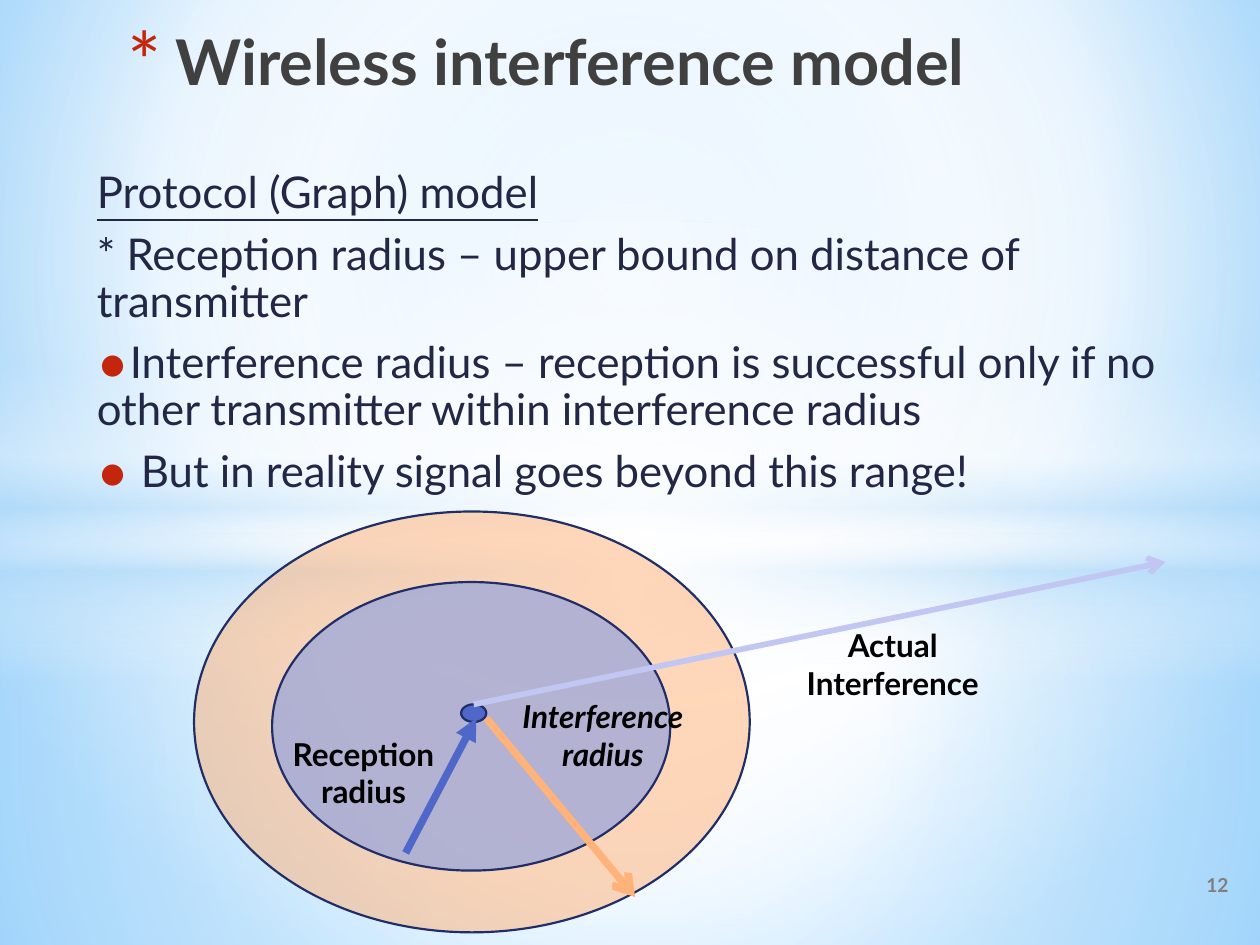
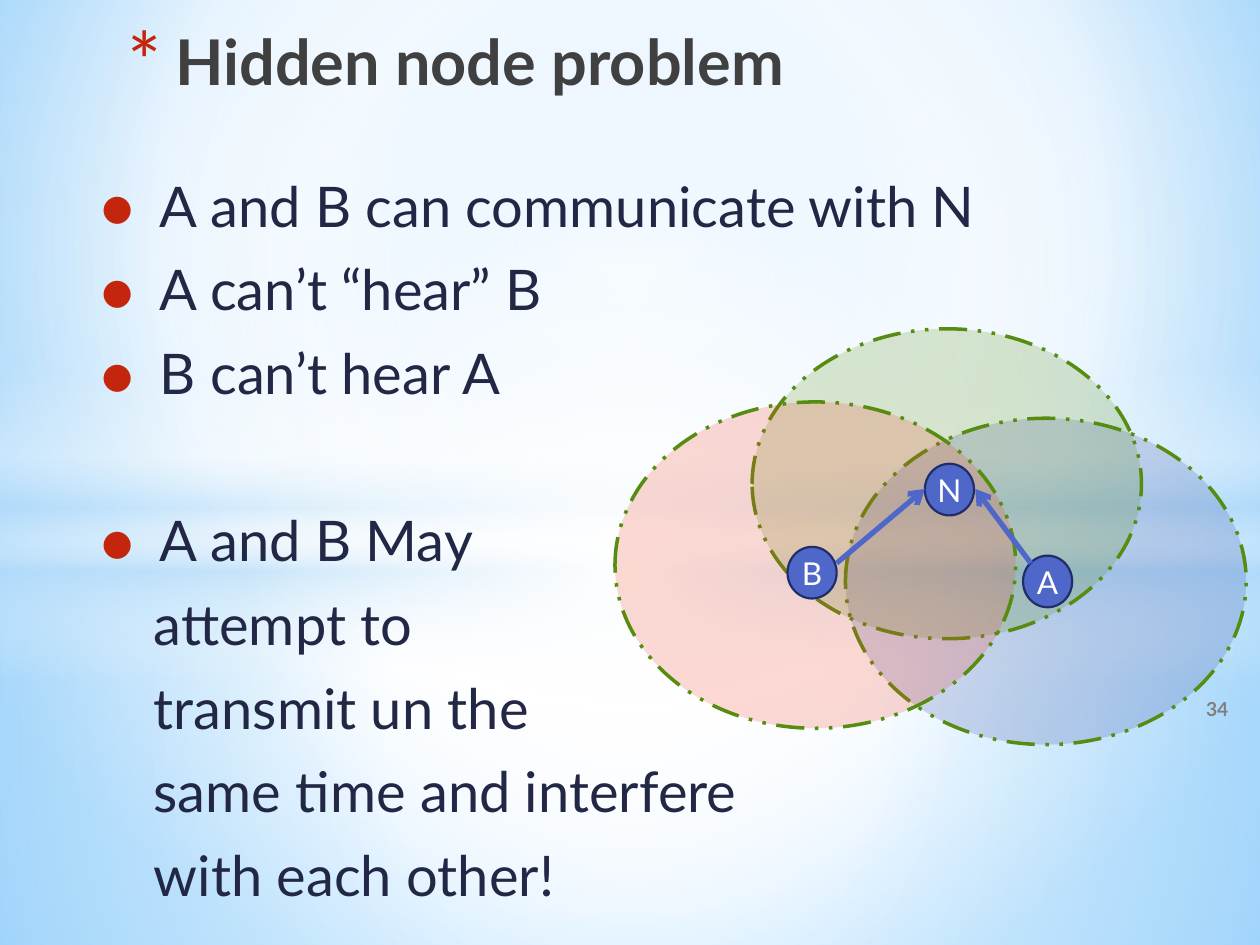
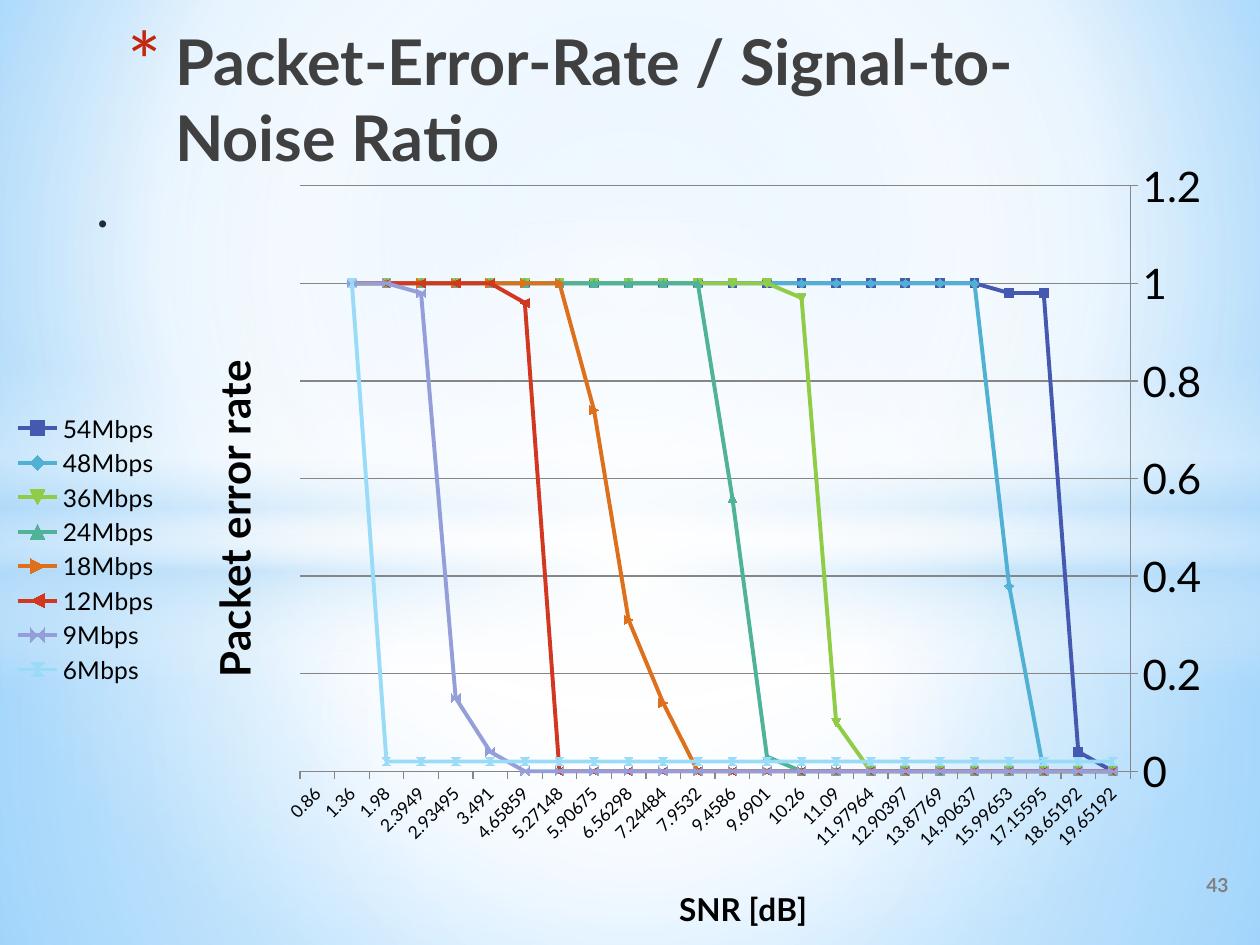
"""Build three slides on wireless interference."""
from lxml.etree import SubElement
from pptx import Presentation
from pptx.chart.data import CategoryChartData
from pptx.dml.color import RGBColor
from pptx.enum.chart import XL_CHART_TYPE, XL_LEGEND_POSITION, XL_TICK_MARK
from pptx.enum.dml import MSO_LINE
from pptx.enum.shapes import MSO_CONNECTOR, MSO_SHAPE
from pptx.enum.text import MSO_ANCHOR, MSO_AUTO_SIZE, PP_ALIGN
from pptx.oxml.ns import qn
from pptx.util import Pt

RECT, OVAL = MSO_SHAPE.RECTANGLE, MSO_SHAPE.OVAL
LEFT, MID, RIGHT = PP_ALIGN.LEFT, PP_ALIGN.CENTER, PP_ALIGN.RIGHT
TOP, CENTER = MSO_ANCHOR.TOP, MSO_ANCHOR.MIDDLE
FIXED = MSO_AUTO_SIZE.NONE
STRAIGHT = MSO_CONNECTOR.STRAIGHT
DASH = MSO_LINE.DASH_DOT_DOT
LINES = XL_CHART_TYPE.LINE_MARKERS
SIDE = XL_LEGEND_POSITION.LEFT
OUT = XL_TICK_MARK.OUTSIDE

FONT = "Lato"
INK, DARK, GRAY, RED = "212745", "404040", "808080", "C3260C"
BLACK, WHITE = "000000", "FFFFFF"
BLUE, NAVY, PEACH, LILAC, GREEN = "4E67C8", "1F2E69", "FFB37A", "C1C7F2", "568D11"
SKY = "B4DCFA"

TITLE_BOX = (65.5, 9.4, 595.5, 79.2)
BODY_BOX = (48.25, 94.3, 646.5, 232.5)
PAGE_BOX = (445, 491, 264.25, 28.8)

BACK = ([(0, "9ED5FF", 100), (60, WHITE, 100), (100, "5BB9FF", 100)], (20, 10, 20, 60))
HALF = (50, 50, 50, 50)
BANDS = [
    (RECT, (0, 304.6, 720, 235.4),
     [(0, WHITE, 91), (37, WHITE, 76), (100, SKY, 79)], HALF),
    (RECT, (0, 0, 720, 304.6),
     [(0, WHITE, 89), (48, WHITE, 62), (100, SKY, 79)], HALF),
    (RECT, (0, 208.8, 720, 180),
     [(0, WHITE, 0), (29, WHITE, 30), (45, SKY, 40), (55, WHITE, 26),
      (65, SKY, 60), (100, WHITE, 0)], None),
    (OVAL, (0, 126, 720, 401.8), [(0, WHITE, 100), (54, WHITE, 0)], HALF),
]

MODEL = [
    ("Protocol (Graph) model", {"underline": True}, None),
    ("* Reception radius – upper bound on distance of transmitter", {}, None),
    ("Interference radius – reception is successful only if no other "
     "transmitter within interference radius", {}, "•"),
    (" But in reality signal goes beyond this range!", {}, "•"),
]
DISCS = [
    ((110.9, 292.3, 317.5, 240.5), PEACH, 52),
    ((155.5, 332.6, 227.5, 164.9), "95A4DE", 70),
    ((263.5, 402.5, 14.4, 10.1), BLUE, 100),
]
RAYS = [
    ((272.2, 410.4, 231.8, 487.4), BLUE, 4.25, "headEnd", "triangle"),
    ((277.9, 410.4, 362.9, 512.6), PEACH, 4.25, "tailEnd", "arrow"),
    ((270.7, 402.5, 666, 321.1), LILAC, 3.25, "tailEnd", "arrow"),
]
LABELS = [
    ((155.5, 416.2, 104.4, 50.4), ["Reception", "radius"], False),
    ((283.7, 394.6, 121.7, 50.4), ["Interference", "radius"], True),
    ((449.3, 354.2, 121.7, 51.1), ["Actual", "Interference"], False),
]

HEARD = ["A and B can communicate with N", "A can’t “hear” B", "B can’t hear A",
         "A and B May"]
CLASH = ["attempt to", "transmit un the", "same time and interfere", "with each other!"]
GAP = 54.2
RANGES = [
    ((483.1, 239, 229, 186.5), "31489F"),
    ((429.8, 187.9, 222.5, 177.1), GREEN),
    ((351.4, 229.7, 229, 186.5), "F14124"),
]
NODES = [("A", 584.6, 317.5), ("B", 450, 312.5), ("N", 528.5, 265)]
HOPS = [(478.1, 321.8, 528.5, 279.4), (589, 321.8, 557.3, 279.4)]

SNR = ("19.65192 18.65192 17.15595 15.99653 14.90637 13.87769 12.90397 11.97964 "
       "11.09 10.26 9.6901 9.4586 7.9532 7.24484 6.56298 5.90675 5.27148 4.65859 "
       "3.491 2.93495 2.3949 1.98 1.36 0.86").split()
RATES = [
    ("54Mbps", "4559B1", 1, [0.04, 0.98, 0.98]),
    ("48Mbps", "51B1D3", 3, [0.38]),
    ("36Mbps", "91CC46", 8, [0.1, 0.97]),
    ("24Mbps", "50B397", 10, [0.03, 0.56]),
    ("18Mbps", "DE6F1B", 13, [0.14, 0.31, 0.74]),
    ("12Mbps", "D23720", 17, [0.96]),
    ("9Mbps", "949FDA", 18, [0.04, 0.15, 0.98]),
    ("6Mbps", "9ADCF8", 0, [0.02] * 22),
]
CHART_BOX = (0, 82.8, 699.8, 457.2)
AXES = [
    ("catAx", "SNR [dB]", 18, 10, (0.55, 0.92), 0, -45),
    ("valAx", "Packet error rate", 24, 24, (0.16, 0.26), -90, 0),
]


def tint(code):
    """Turn a hex string into a colour."""
    return RGBColor.from_string(code)


def put(item, vals):
    """Set each attribute named in a dict."""
    for key, val in vals.items():
        setattr(item, key, val)


def pts(box):
    """Turn numbers into points."""
    return [Pt(n) for n in box]


def style(font, size, color, **more):
    """Format a font."""
    put(font, {"name": FONT, "size": Pt(size), **more})
    font.color.rgb = tint(color)


def blend(root, stops, focus):
    """Fill the gradient with stops, round a focus or straight down."""
    grad = root.find(".//" + qn("a:gradFill"))
    for kid in list(grad):
        grad.remove(kid)
    row = SubElement(grad, qn("a:gsLst"))
    for pos, color, alpha in stops:
        stop = SubElement(row, qn("a:gs"), pos=str(pos * 1000))
        hue = SubElement(stop, qn("a:srgbClr"), val=color)
        SubElement(hue, qn("a:alpha"), val=str(alpha * 1000))
    if focus:
        ring = SubElement(grad, qn("a:path"), path="circle")
        SubElement(ring, qn("a:fillToRect"),
                   {key: str(n * 1000) for key, n in zip("ltrb", focus)})
    else:
        SubElement(grad, qn("a:lin"), ang="5400000", scaled="0")


def dress(layout, slide):
    """Give the layout its backdrop and bands."""
    layout.background.fill.gradient()
    blend(layout.element, *BACK)
    for i, (kind, box, stops, focus) in enumerate(BANDS):
        band = slide.shapes.add_shape(kind, *pts(box))
        band.shadow.inherit = False
        band.fill.gradient()
        band.line.fill.background()
        blend(band.element, stops, focus)
        band.element.nvSpPr.cNvPr.set("id", str(20 + i))
        layout.shapes.element.insert(2 + i, band.element)


def write(shape, rows, size, color, frame=None, para=None, **more):
    """Write rows of text, each with its own font and paragraph formats."""
    text = shape.text_frame
    put(text, {"word_wrap": True, "auto_size": FIXED, "vertical_anchor": TOP,
               **(frame or {})})
    text.text = "\n".join(row[0] for row in rows)
    for line, row in zip(text.paragraphs, rows):
        put(line, {**(para or {}), **(row[3] if len(row) > 3 else {})})
        style(line.runs[0].font, size, color, **more, **row[1])


def mark(shape, signs, pct):
    """Give paragraphs bullets and indents from (sign, left, first) rows."""
    for line, (sign, left, first) in zip(shape.element.iter(qn("a:p")), signs):
        props = line.get_or_add_pPr()
        props.set("marL", str(Pt(left)))
        props.set("indent", str(Pt(first)))
        if sign:
            hue = SubElement(props, qn("a:buClr"))
            SubElement(hue, qn("a:srgbClr"), val=RED)
            SubElement(props, qn("a:buSzPct"), val=str(pct * 1000))
            SubElement(props, qn("a:buFont"), typeface=FONT)
            SubElement(props, qn("a:buChar"), char=sign)


def head(slide, title, page, spot=PAGE_BOX):
    """Write the title and the page number."""
    top = slide.shapes.title
    put(top, dict(zip(("left", "top", "width", "height"), pts(TITLE_BOX))))
    write(top, [(title, {})], 36, DARK, para={"alignment": LEFT}, bold=True)
    mark(top, [("*", 27.4, -27.4)], 128)
    foot = slide.shapes.add_textbox(*pts(spot))
    write(foot, [(page, {})], 11, GRAY, {"vertical_anchor": CENTER},
          {"alignment": RIGHT}, bold=True)


def body(slide, rows, size, signs, **more):
    """Write the main text."""
    box = slide.shapes.add_textbox(*pts(BODY_BOX))
    para = {"space_before": Pt(size / 5), "space_after": Pt(3), **more}
    write(box, rows, size, INK, para=para)
    mark(box, signs, 130)


def disc(slide, box, color, alpha=100, edge=NAVY, width=1.25, dash=None):
    """Draw an ellipse."""
    oval = slide.shapes.add_shape(OVAL, *pts(box))
    oval.shadow.inherit = False
    oval.fill.solid()
    oval.fill.fore_color.rgb = tint(color)
    hue = oval.element.spPr.find(qn("a:solidFill")).find(qn("a:srgbClr"))
    SubElement(hue, qn("a:alpha"), val=str(alpha * 1000))
    oval.line.color.rgb = tint(edge)
    put(oval.line, {"width": Pt(width), "dash_style": dash})
    return oval


def ray(slide, ends, color, width, end, tip):
    """Draw an arrow."""
    line = slide.shapes.add_connector(STRAIGHT, *pts(ends))
    line.line.color.rgb = tint(color)
    line.line.width = Pt(width)
    props = line.element.spPr
    SubElement(props.find(qn("a:ln")), qn("a:" + end), type=tip)
    SubElement(props, qn("a:effectLst"))


def place(root, index, spot, inner=False):
    """Set a chart part at fractions of the chart area."""
    old = root.find(qn("c:layout"))
    if old is not None:
        root.remove(old)
    cell = SubElement(root, qn("c:layout"))
    root.insert(index, cell)
    hand = SubElement(cell, qn("c:manualLayout"))
    if inner:
        SubElement(hand, qn("c:layoutTarget"), val="inner")
    for key in "xy":
        SubElement(hand, qn(f"c:{key}Mode"), val="edge")
    for key, val in zip("xywh", spot):
        SubElement(hand, qn("c:" + key), val=str(val))


def plot(slide):
    """Draw packet error rate against SNR."""
    data = CategoryChartData()
    data.categories = SNR
    count = len(SNR) - 1
    for name, _, zeros, steps in RATES:
        ones = count - zeros - len(steps)
        data.add_series(name, [0] * zeros + steps + [1] * ones + [None])
    chart = slide.shapes.add_chart(LINES, *pts(CHART_BOX), data).chart
    style(chart.font, 10, BLACK)
    put(chart, {"has_title": False, "has_legend": True})
    put(chart.legend, {"position": SIDE, "include_in_layout": False})
    style(chart.legend.font, 14, BLACK)
    graph = chart.plots[0]
    graph.vary_by_categories = False
    for line, (_, color, _, _) in zip(graph.series, RATES):
        line.smooth = False
        line.format.line.color.rgb = tint(color)
        line.format.line.width = Pt(2.25)
    across, up = chart.category_axis, chart.value_axis
    across.reverse_order = True
    put(up, {"minimum_scale": 0, "maximum_scale": 1.2, "major_unit": 0.2,
             "has_major_gridlines": True})
    pens = [axis.format.line for axis in (across, up)] + [up.major_gridlines.format.line]
    for pen in pens:
        pen.color.rgb = tint("868686")
        pen.width = Pt(0.75)
    for axis, (tag, name, size, small, spot, turn, slant) in zip((across, up), AXES):
        axis.major_tick_mark = OUT
        style(axis.tick_labels.font, small, BLACK)
        text = axis.axis_title.text_frame
        text.text = name
        style(text.paragraphs[0].runs[0].font, size, BLACK, bold=True)
        root = chart.element.find(".//" + qn("c:" + tag))
        title = root.find(qn("c:title"))
        place(title, 1, spot)
        for part, deg in ((title, turn), (root.find(qn("c:txPr")), slant)):
            part.find(".//" + qn("a:bodyPr")).set("rot", str(deg * 60000))
    place(chart.element.find(".//" + qn("c:plotArea")), 0,
          (0.245, 0.051, 0.678, 0.732), True)
    place(chart.element.find(".//" + qn("c:legend")), 1, (0.01, 0.33, 0.12, 0.35))


def radii(slide):
    """Show the protocol model."""
    body(slide, MODEL, 25, [(row[2], 0, 0) for row in MODEL], line_spacing=0.9)
    head(slide, "Wireless interference model", "12")
    for item in DISCS:
        disc(slide, *item)
    for item in RAYS:
        ray(slide, *item)
    for box, words, slope in LABELS:
        label = slide.shapes.add_textbox(*pts(box))
        write(label, [(word, {}) for word in words], 18, BLACK, {"word_wrap": False},
              {"alignment": MID}, bold=True, italic=slope)


def hidden(slide):
    """Show the hidden node problem."""
    rows = [(line, {}, None, {}) for line in HEARD + CLASH]
    rows[len(HEARD) - 1][3]["space_before"] = Pt(GAP)
    signs = [("•", 36, -36)] * len(HEARD) + [(None, 32.5, 0)] * len(CLASH)
    body(slide, rows, 32, signs)
    head(slide, "Hidden node problem", "34", (502.5, 393.1, 206.6, 23.8))
    for box, color in RANGES:
        disc(slide, box, color, 20, GREEN, 2, DASH)
    inset = dict.fromkeys(("margin_left", "margin_right", "margin_top", "margin_bottom"), 0)
    for name, x, y in NODES:
        node = disc(slide, (x, y, 28.1, 29.5), BLUE)
        write(node, [(name, {})], 18, WHITE,
              {"word_wrap": False, "vertical_anchor": CENTER, **inset}, {"alignment": MID})
    for ends in HOPS:
        ray(slide, ends, BLUE, 3, "tailEnd", "arrow")


def errors(slide):
    """Show the error rate chart."""
    body(slide, [(".", {})], 32, [(None, 0, 0)])
    head(slide, "Packet-Error-Rate / Signal-to-Noise Ratio", "43")
    plot(slide)


def main():
    """Build and save the slides."""
    deck = Presentation()
    put(deck, {"slide_width": Pt(720), "slide_height": Pt(540)})
    layout = deck.slide_layouts[5]
    slides = [deck.slides.add_slide(layout) for _ in range(3)]
    dress(layout, slides[0])
    for draw, slide in zip((radii, hidden, errors), slides):
        draw(slide)
    deck.save("out.pptx")


if __name__ == "__main__":
    main()
